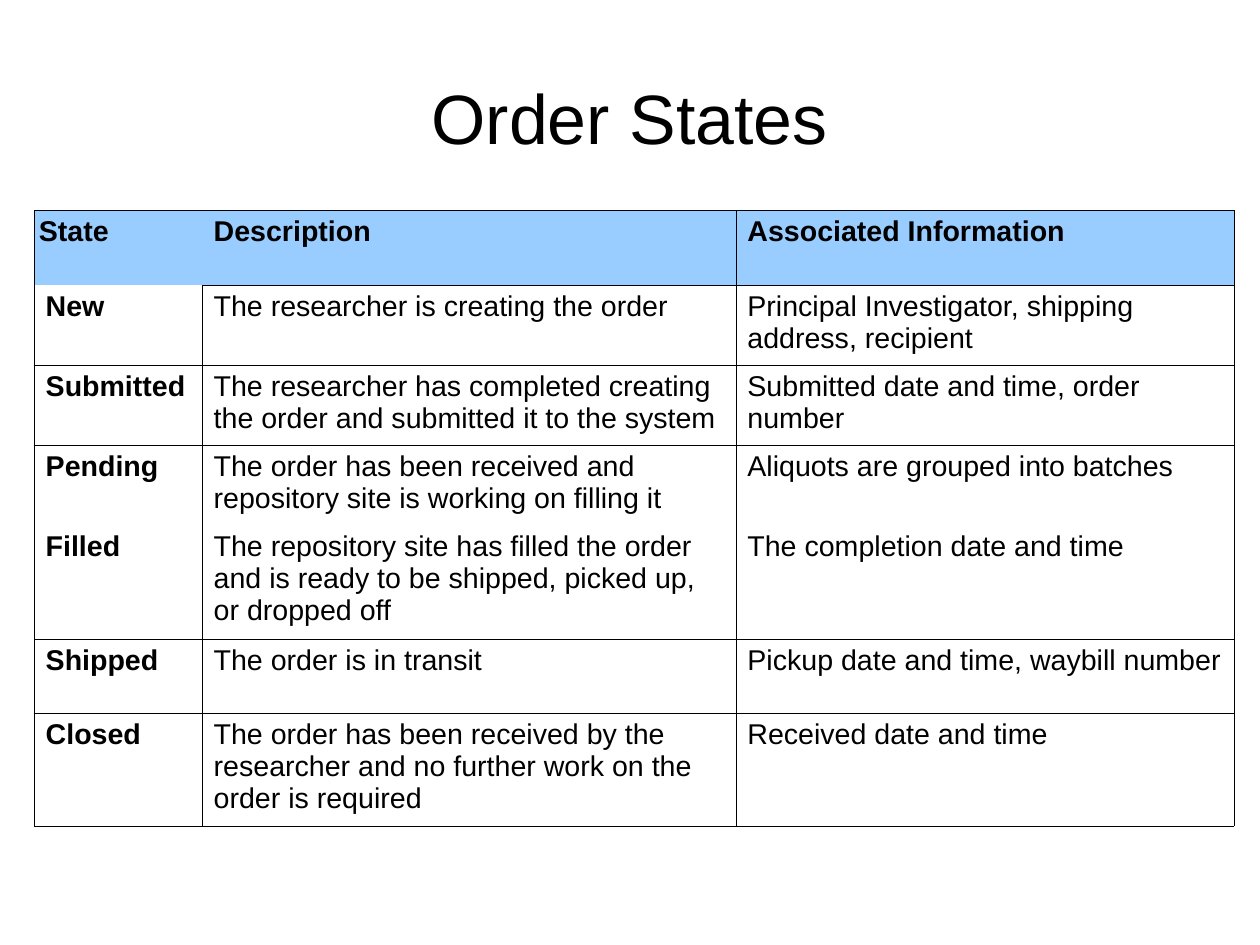
"""Build the Order States slide: a title above a bordered table of states."""
from dataclasses import dataclass

from pptx import Presentation
from pptx.dml.color import RGBColor
from pptx.enum.text import MSO_ANCHOR as Anchor, PP_ALIGN as Align
from pptx.oxml.ns import qn
from pptx.oxml.xmlchemy import OxmlElement as Element
from pptx.slide import Slide
from pptx.table import _Cell as Cell
from pptx.text.text import TextFrame
from pptx.util import Inches, Pt


@dataclass(frozen=True)
class Theme:
    font: str = "Arial"
    ink: str = "000000"
    header_fill: str = "99CCFF"
    body_fill: str = "FFFFFF"
    title_size: float = 44
    table_size: float = 18
    border_width: float = 0.06


@dataclass(frozen=True)
class Row:
    height: float
    state: str
    description: str
    information: str
    open_edges: str = ""


THEME = Theme()
CM_PER_INCH = 2.54
COLUMN_WIDTHS = (1.47, 4.67, 4.36)
ROWS = (
    Row(0.65, "State", "Description", "Associated Information"),
    Row(0.7, "New", "The researcher is creating the order",
        "Principal Investigator, shipping address, recipient"),
    Row(0.7, "Submitted",
        "The researcher has completed creating the order and submitted it to the system",
        "Submitted date and time, order number"),
    Row(0.7, "Pending",
        "The order has been received and repository site is working on filling it",
        "Aliquots are grouped into batches", open_edges="B"),
    Row(1.0, "Filled",
        "The repository site has filled the order and is ready to be shipped, "
        "picked up, or dropped off",
        "The completion date and time", open_edges="T"),
    Row(0.65, "Shipped", "The order is in transit",
        "Pickup date and time, waybill number"),
    Row(0.99, "Closed",
        "The order has been received by the researcher and no further work "
        "on the order is required",
        "Received date and time"),
)
OPEN_CELL_EDGES = {(0, 0): "RB", (0, 1): "L", (1, 0): "T"}


def write_text(frame: TextFrame, text: str, *, size: float, bold: bool = False,
               align: Align = Align.LEFT) -> None:
    para = frame.paragraphs[0]
    para.alignment = align
    span = para.add_run()
    span.text = text
    span.font.name = THEME.font
    span.font.size = Pt(size)
    span.font.bold = bold
    span.font.color.rgb = RGBColor.from_string(THEME.ink)


def set_borders(cell: Cell, open_edges: str) -> None:
    properties = cell._tc.get_or_add_tcPr()
    for edge in "LRTB":
        line = Element(f"a:ln{edge}")
        line.set("w", str(Pt(THEME.border_width)))
        if edge in open_edges:
            line.append(Element("a:noFill"))
        else:
            fill = Element("a:solidFill")
            color = Element("a:srgbClr")
            color.set("val", THEME.ink)
            fill.append(color)
            line.append(fill)
        properties.append(line)


def add_title(slide: Slide, text: str) -> None:
    title = slide.shapes.title
    title.left, title.top = Inches(0.55), Inches(0.33)
    title.width, title.height = Inches(9.92), Inches(1.38)
    frame = title.text_frame
    frame.margin_left = frame.margin_right = 0
    frame.margin_top = frame.margin_bottom = 0
    frame.vertical_anchor = Anchor.MIDDLE
    write_text(frame, text, size=THEME.title_size, align=Align.CENTER)


def add_state_table(slide: Slide) -> None:
    table = slide.shapes.add_table(
        len(ROWS), len(COLUMN_WIDTHS), Inches(0.3), Inches(1.84),
        Inches(sum(COLUMN_WIDTHS)), Inches(sum(row.height for row in ROWS))).table
    table.first_row = table.horz_banding = False
    for column, width in zip(table.columns, COLUMN_WIDTHS):
        column.width = Inches(width)
    for row_index, row in enumerate(ROWS):
        table.rows[row_index].height = Inches(row.height)
        is_header = row_index == 0
        fill = THEME.header_fill if is_header else THEME.body_fill
        for column_index, text in enumerate((row.state, row.description, row.information)):
            cell = table.cell(row_index, column_index)
            is_state = column_index == 0
            side = Inches(0.04 if is_header and is_state else 0.1)
            cell.margin_left = cell.margin_right = side
            cell.margin_top = cell.margin_bottom = Inches(0.05)
            set_borders(cell, row.open_edges
                        + OPEN_CELL_EDGES.get((row_index, column_index), ""))
            cell.fill.solid()
            cell.fill.fore_color.rgb = RGBColor.from_string(fill)
            write_text(cell.text_frame, text, size=THEME.table_size,
                       bold=is_header or is_state)


def main() -> None:
    deck = Presentation()
    deck.slide_width = Inches(28 / CM_PER_INCH)
    deck.slide_height = Inches(21 / CM_PER_INCH)
    page = deck.slides.add_slide(deck.slide_layouts[5])
    add_title(page, "Order States")
    add_state_table(page)
    deck.save("out.pptx")


if __name__ == "__main__":
    main()
